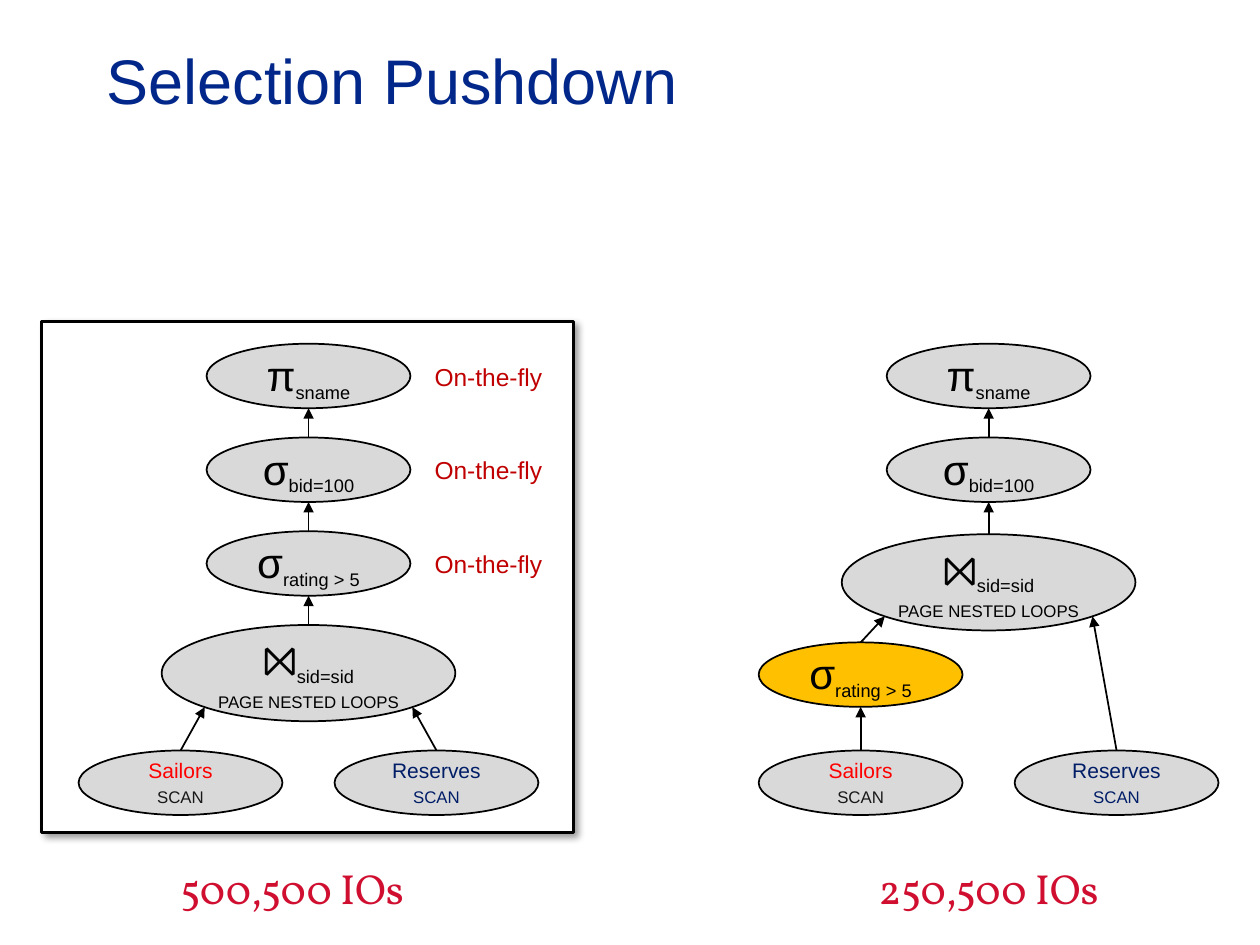
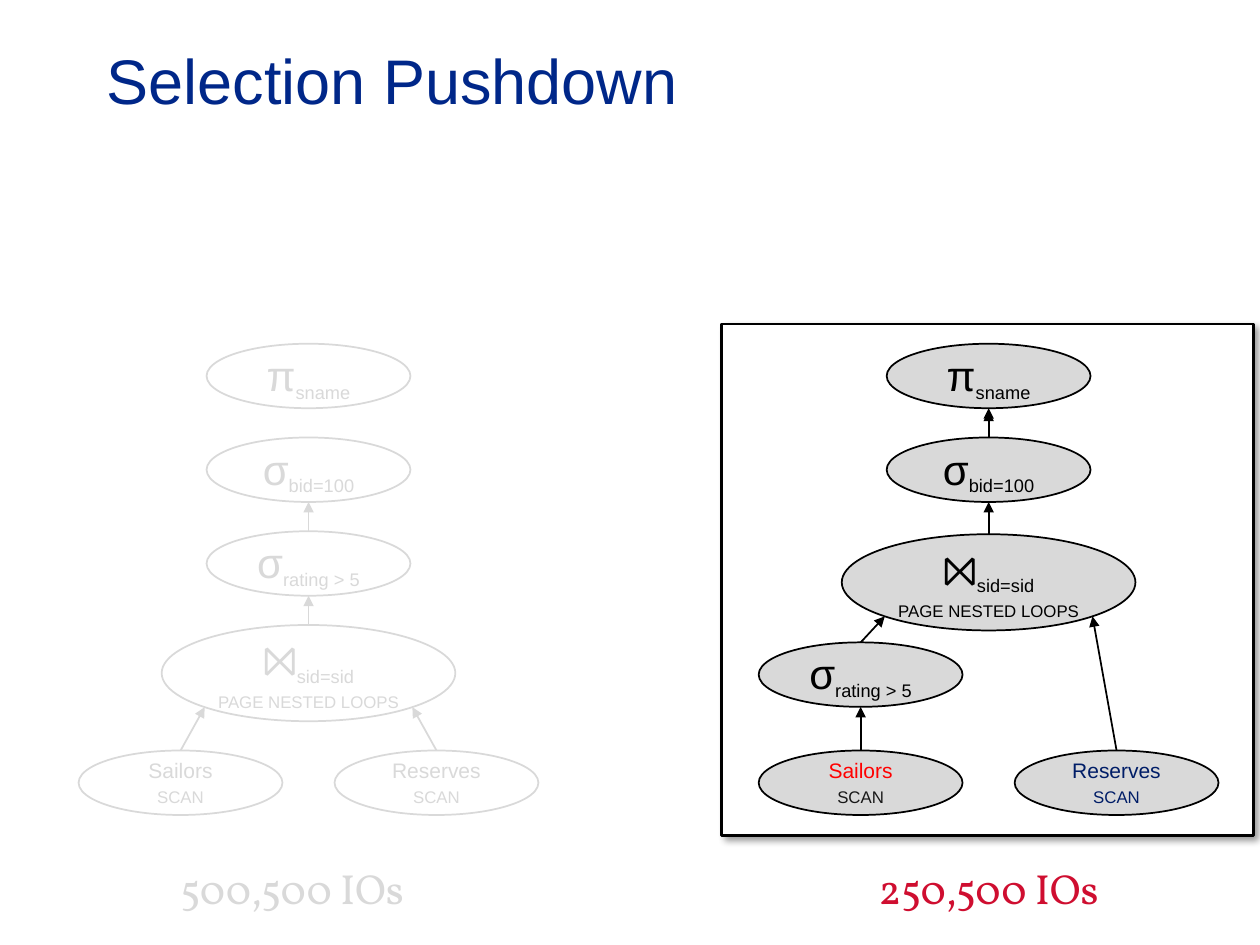
from dataclasses import dataclass
from math import sqrt

from lxml import etree
from pptx import Presentation
from pptx.dml.color import RGBColor
from pptx.enum.shapes import MSO_CONNECTOR, MSO_SHAPE
from pptx.enum.text import MSO_ANCHOR, PP_ALIGN
from pptx.oxml.ns import qn
from pptx.util import Cm, Pt

ELLIPSE, RECTANGLE = MSO_SHAPE.OVAL, MSO_SHAPE.RECTANGLE
STRAIGHT = MSO_CONNECTOR.STRAIGHT
MIDDLE, TOP = MSO_ANCHOR.MIDDLE, MSO_ANCHOR.TOP
LEFT, CENTER = PP_ALIGN.LEFT, PP_ALIGN.CENTER

BLACK, WHITE, GREY, GOLD = "000000", "FFFFFF", "D9D9D9", "FFC000"
TITLE_BLUE, NOTE_RED, TOTAL_RED = "002789", "C00000", "CF0E30"

LEFT_AXIS, RIGHT_AXIS = 6.22, 19.93
FIRST_TOP, LEVEL_STEP, LEAF_TOP = 6.93, 1.89, 15.13
LEAF_OFFSET = 2.58
NODE_SIZE, JOIN_SIZE = (4.11, 1.3), (5.92, 1.94)


@dataclass
class Palette:
    fill: str = GREY
    ink: str = BLACK
    sailors: str = "FF0000"
    sailors_scan: str = "181818"
    reserves: str = "001D67"
    total: str = TOTAL_RED


ACTIVE = Palette()
FADED = Palette(WHITE, GREY, GREY, GREY, GREY, GREY)


@dataclass
class Node:
    x: float
    top: float
    width: float
    height: float

    @property
    def entry(self):
        return self.x, self.top

    @property
    def bottom(self):
        return self.x, self.top + self.height

    def lower_corner(self, side):
        return (self.x + side * self.width / 2 / sqrt(2),
                self.top + self.height / 2 * (1 + 1 / sqrt(2)))


def rgb(color):
    return RGBColor.from_string(color)


def add_run(paragraph, text, size=12, color=BLACK, font="Arial",
            baseline=0, small_caps=False):
    run = paragraph.add_run()
    run.text = text
    run.font.size = Pt(size)
    run.font.name = font
    run.font.color.rgb = rgb(color)
    properties = run._r.get_or_add_rPr()
    if baseline:
        properties.set("baseline", str(baseline * 1000))
    if small_caps:
        properties.set("cap", "small")


def set_frame(frame, anchor=MIDDLE, wrap=True, inset=(0, 0)):
    frame.word_wrap = wrap
    frame.vertical_anchor = anchor
    frame.margin_left = frame.margin_right = Cm(inset[0])
    frame.margin_top = frame.margin_bottom = Cm(inset[1])


def add_label(shapes, box, text, align=LEFT, anchor=MIDDLE, wrap=False,
              inset=(0.25, 0.13), **style):
    frame = shapes.add_textbox(*map(Cm, box)).text_frame
    set_frame(frame, anchor, wrap, inset)
    frame.paragraphs[0].alignment = align
    add_run(frame.paragraphs[0], text, **style)


def add_outlined(shapes, kind, box, fill, line, width):
    outlined = shapes.add_shape(kind, *map(Cm, box))
    outlined.shadow.inherit = False
    outlined.fill.solid()
    outlined.fill.fore_color.rgb = rgb(fill)
    outlined.line.color.rgb = rgb(line)
    outlined.line.width = Pt(width)
    return outlined


def add_panel(shapes, left, top):
    panel = add_outlined(shapes, RECTANGLE, (left, top, 10.72, 10.31), WHITE, BLACK, 1.5)
    effects = panel._element.spPr.find(qn("a:effectLst"))
    shadow = etree.SubElement(effects, qn("a:outerShdw"), blurRad=str(Pt(4)),
                              dist=str(Pt(3)), dir=str(45 * 60000), rotWithShape="0")
    color = etree.SubElement(shadow, qn("a:srgbClr"), val=BLACK)
    etree.SubElement(color, qn("a:alpha"), val="40000")


def add_node(shapes, x, top, palette, lines, size=NODE_SIZE, fill=None):
    node = Node(x, top, *size)
    ellipse = add_outlined(shapes, ELLIPSE, (x - size[0] / 2, top, *size),
                           fill or palette.fill, palette.ink, 1)
    frame = ellipse.text_frame
    set_frame(frame)
    for index, runs in enumerate(lines):
        paragraph = frame.add_paragraph() if index else frame.paragraphs[0]
        paragraph.alignment = CENTER
        for text, style in runs:
            if text == "\n":
                paragraph.add_line_break()
            else:
                add_run(paragraph, text, **style)
    return node


def operator_runs(symbol, condition, color):
    return [(symbol, dict(size=24, color=color)),
            (condition, dict(size=18, color=color, baseline=-25))]


def add_operator(shapes, x, top, palette, symbol, condition, fill=None):
    runs = operator_runs(symbol, condition, palette.ink)
    return add_node(shapes, x, top, palette, [runs], fill=fill)


def add_join(shapes, x, top, palette):
    runs = operator_runs("\u2a1d", "sid=sid", palette.ink)
    runs += [("\n", {}), ("page nested loops", dict(color=palette.ink, small_caps=True))]
    return add_node(shapes, x, top, palette, [runs], size=JOIN_SIZE)


def add_leaves(shapes, axis, palette):
    tables = [(-1, "Sailors", palette.sailors, palette.sailors_scan),
              (1, "Reserves", palette.reserves, palette.reserves)]
    return [add_node(shapes, axis + side * LEAF_OFFSET, LEAF_TOP, palette,
                     [[(table, dict(color=color))],
                      [("scan", dict(color=scan_color, small_caps=True))]])
            for side, table, color, scan_color in tables]


def add_arrow(shapes, start, end, color):
    arrow = shapes.add_connector(STRAIGHT, *map(Cm, (*start, *end)))
    arrow.line.color.rgb = rgb(color)
    arrow.line.width = Pt(1)
    etree.SubElement(arrow.line._get_or_add_ln(), qn("a:tailEnd"), type="triangle")
    etree.SubElement(arrow._element.spPr, qn("a:effectLst"))


def add_original_plan(shapes, palette, active):
    if active:
        add_panel(shapes, 0.84, 6.48)
    conditions = [("π", "sname"), ("σ", "bid=100"), ("σ", "rating > 5")]
    chain = [add_operator(shapes, LEFT_AXIS, FIRST_TOP + level * LEVEL_STEP,
                          palette, symbol, condition)
             for level, (symbol, condition) in enumerate(conditions)]
    join = add_join(shapes, LEFT_AXIS, FIRST_TOP + 3 * LEVEL_STEP, palette)
    for side, leaf in zip((-1, 1), add_leaves(shapes, LEFT_AXIS, palette)):
        add_arrow(shapes, leaf.entry, join.lower_corner(side), palette.ink)
    links = list(zip(chain, chain[1:] + [join]))
    for parent, child in links if active else links[1:]:
        add_arrow(shapes, child.entry, parent.bottom, palette.ink)
    if active:
        for operator in chain:
            add_label(shapes, (8.51, operator.top + 0.23, 2.77, 0.84), "On-the-fly",
                      anchor=TOP, size=14, color=NOTE_RED)


def add_pushdown_plan(shapes, palette, active):
    second_top = FIRST_TOP + LEVEL_STEP
    if active:
        add_panel(shapes, 14.55, 6.53)
        add_arrow(shapes, (RIGHT_AXIS, second_top + 0.07),
                  (RIGHT_AXIS, FIRST_TOP + NODE_SIZE[1] + 0.05), palette.ink)
    projection = add_operator(shapes, RIGHT_AXIS, FIRST_TOP, palette, "π", "sname")
    bid = add_operator(shapes, RIGHT_AXIS, second_top, palette, "σ", "bid=100")
    rating = add_operator(shapes, RIGHT_AXIS - LEAF_OFFSET, 12.95, palette,
                          "σ", "rating > 5", fill=None if active else GOLD)
    join = add_join(shapes, RIGHT_AXIS, 10.77, palette)
    sailors, reserves = add_leaves(shapes, RIGHT_AXIS, palette)
    for child, target in [(sailors, rating.bottom),
                          (reserves, join.lower_corner(1)),
                          (rating, join.lower_corner(-1)),
                          (join, bid.bottom),
                          (bid, projection.bottom)]:
        add_arrow(shapes, child.entry, target, palette.ink)


def add_total(shapes, x, text, color):
    add_label(shapes, (x - 2.64, 17.27, 5.28, 1.27), text, align=CENTER,
              inset=(0, 0), size=24, color=color, font="Vollkorn")


def add_slide(presentation, pushdown_active):
    slide = presentation.slides.add_slide(presentation.slide_layouts[6])
    shapes = slide.shapes
    add_label(shapes, (1.9, 0, 21.6, 3.18), "Selection Pushdown", wrap=True,
              size=36, color=TITLE_BLUE)
    original = FADED if pushdown_active else ACTIVE
    add_total(shapes, LEFT_AXIS - 0.33, "500,500 IOs", original.total)
    add_original_plan(shapes.add_group_shape().shapes, original, not pushdown_active)
    add_pushdown_plan(shapes.add_group_shape().shapes, ACTIVE, pushdown_active)
    add_total(shapes, RIGHT_AXIS, "250,500 IOs", ACTIVE.total)


def main():
    presentation = Presentation()
    presentation.slide_width, presentation.slide_height = Cm(25.4), Cm(19.05)
    for pushdown_active in (False, True):
        add_slide(presentation, pushdown_active)
    presentation.save("out.pptx")


main()
